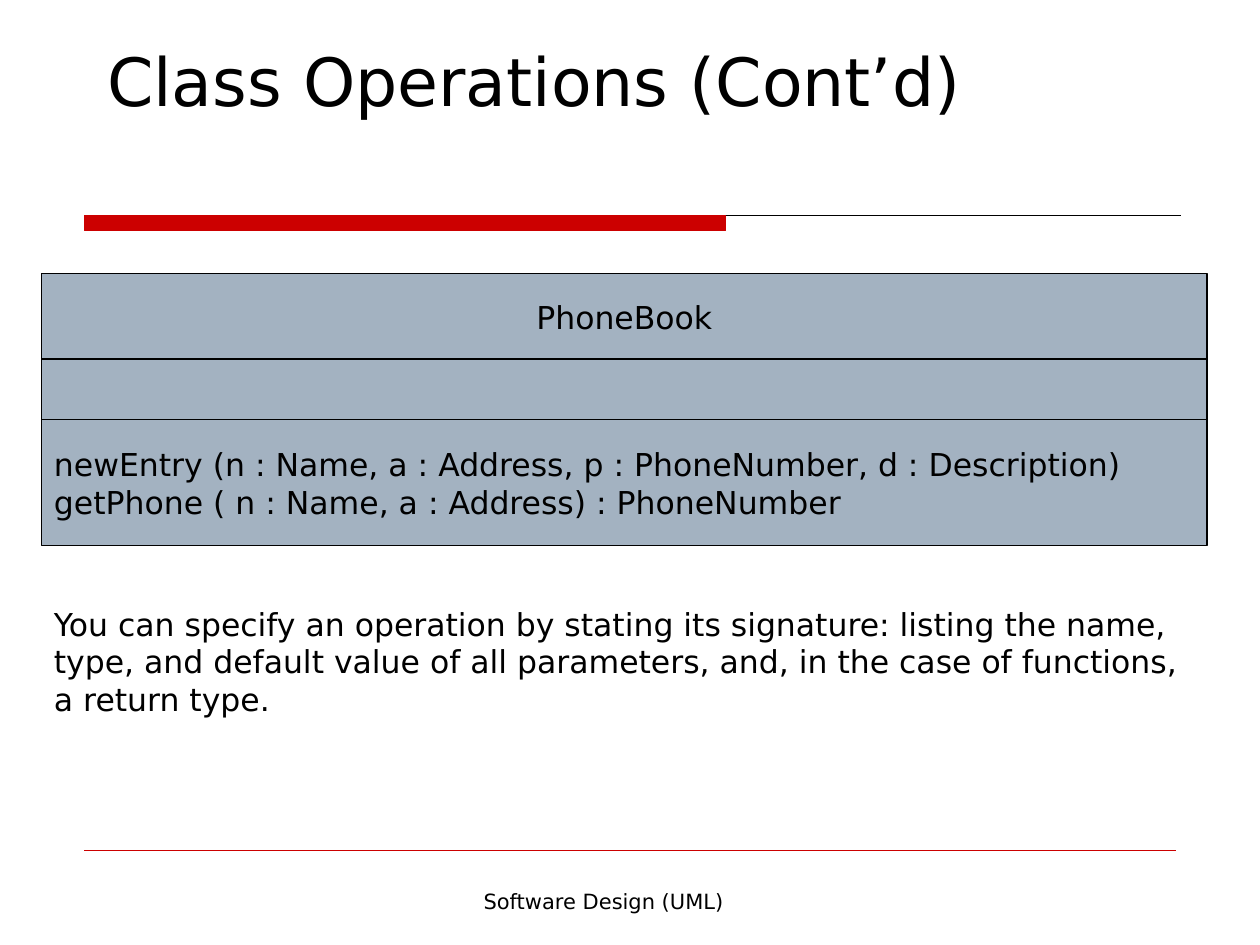
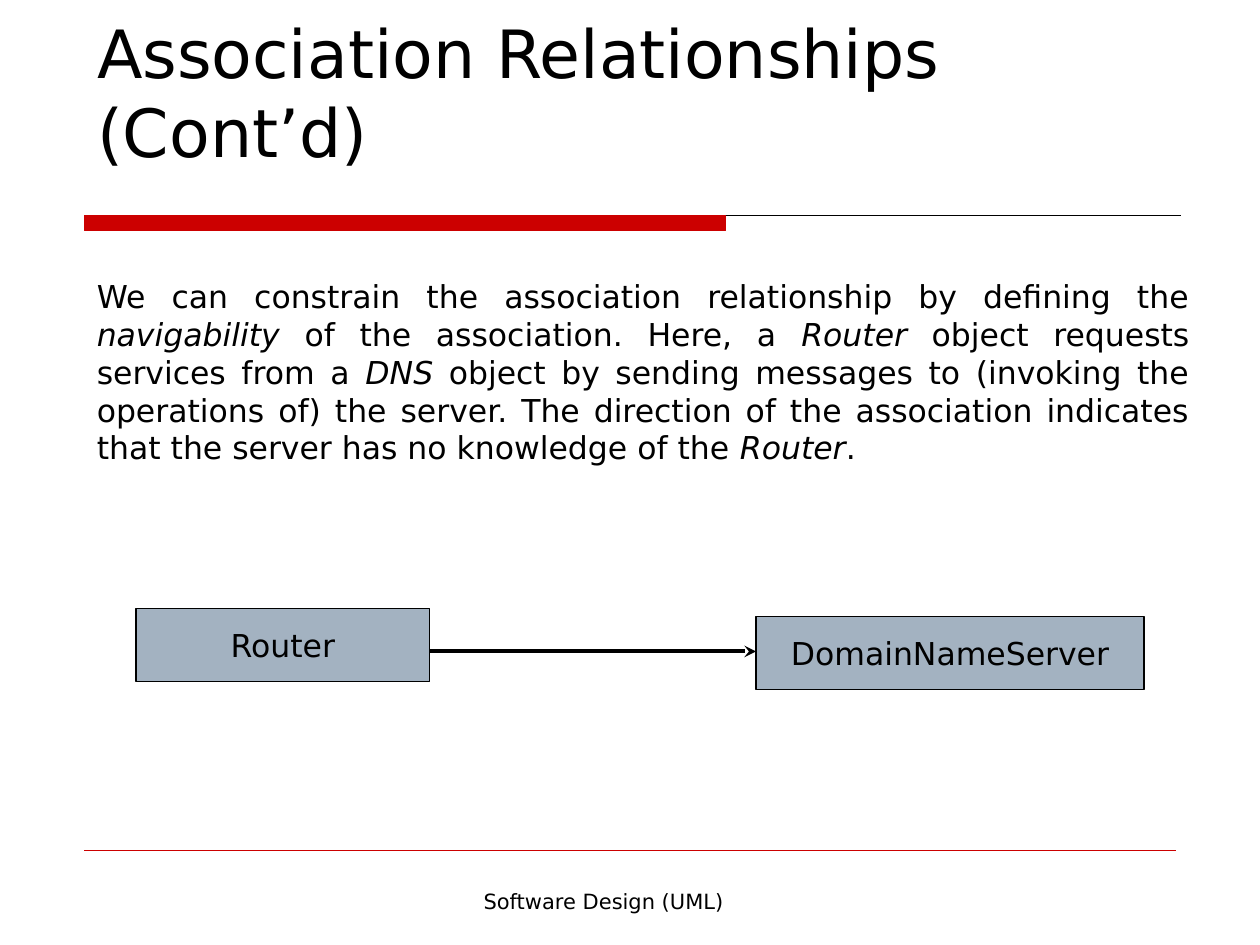
"""Build two UML lecture slides on class operations and associations."""
from dataclasses import dataclass

from lxml import etree
from pptx import Presentation
from pptx.dml.color import RGBColor
from pptx.enum.shapes import MSO_CONNECTOR, MSO_SHAPE
from pptx.enum.text import MSO_ANCHOR, MSO_AUTO_SIZE, PP_ALIGN
from pptx.oxml.ns import qn
from pptx.util import Inches, Pt

RECTANGLE = MSO_SHAPE.RECTANGLE
STRAIGHT = MSO_CONNECTOR.STRAIGHT
LEFT, CENTER, JUSTIFY = PP_ALIGN.LEFT, PP_ALIGN.CENTER, PP_ALIGN.JUSTIFY
TOP, MIDDLE, BOTTOM = MSO_ANCHOR.TOP, MSO_ANCHOR.MIDDLE, MSO_ANCHOR.BOTTOM
NO_AUTOFIT = MSO_AUTO_SIZE.NONE
TITLE_ONLY = 5


@dataclass(frozen=True)
class Theme:
    """Colours, font and type sizes of the deck."""
    ink: RGBColor = RGBColor(0, 0, 0)
    accent: RGBColor = RGBColor(0xCC, 0, 0)
    class_fill: RGBColor = RGBColor(0xA3, 0xB2, 0xC1)
    font: str = "DejaVu Sans"
    title: int = 38
    body: int = 18
    footer: int = 12
    hairline: float = 0.75
    arrow: float = 2.25


THEME = Theme()


def inches(*lengths):
    """Convert numbers to lengths."""
    return [Inches(length) for length in lengths]


def write(frame, text, size=THEME.body, align=LEFT, anchor=TOP):
    """Fill a frame with one paragraph a line; asterisks enclose italics."""
    frame.word_wrap = True
    frame.auto_size = NO_AUTOFIT
    frame.vertical_anchor = anchor
    for index, line in enumerate(text.split("\n")):
        paragraph = frame.add_paragraph() if index else frame.paragraphs[0]
        paragraph.alignment = align
        for part, words in enumerate(line.split("*")):
            run = paragraph.add_run()
            run.text = words
            run.font.name = THEME.font
            run.font.size = Pt(size)
            run.font.color.rgb = THEME.ink
            run.font.italic = part % 2 == 1


def add_text(slide, box, text, **style):
    """Place a text box."""
    write(slide.shapes.add_textbox(*inches(*box)).text_frame, text, **style)


def add_rectangle(shapes, box, fill, line, text="", align=CENTER):
    """Draw an outlined rectangle with optional text."""
    rectangle = shapes.add_shape(RECTANGLE, *inches(*box))
    rectangle.shadow.inherit = False
    rectangle.fill.solid()
    rectangle.fill.fore_color.rgb = fill
    rectangle.line.color.rgb = line
    rectangle.line.width = Pt(THEME.hairline)
    if text:
        write(rectangle.text_frame, text, align=align, anchor=MIDDLE)


def add_line(slide, start, end, color, width=THEME.hairline, arrow=False):
    """Draw a straight line, with a stealth arrowhead at its end if asked."""
    connector = slide.shapes.add_connector(STRAIGHT, *inches(*start, *end))
    connector.line.color.rgb = color
    connector.line.width = Pt(width)
    if arrow:
        etree.SubElement(connector.line._get_or_add_ln(), qn("a:tailEnd"), type="stealth")
    etree.SubElement(connector._element.spPr, qn("a:effectLst"))


def add_title_band(slide, left, top, width):
    """Draw the heavy bar and thin rule under the title."""
    add_line(slide, (left, top), (left + width, top), THEME.ink)
    add_rectangle(slide.shapes, (left, top, 5.09, 0.12), THEME.accent, THEME.accent)


def add_footer(slide, left, top, width):
    """Draw the footer rule and the course name."""
    add_line(slide, (left, top), (left + width, top), THEME.accent)
    add_text(slide, (left + 1.91, top + 0.25, 4.42, 0.5), "Software Design (UML)",
             size=THEME.footer, align=CENTER)


def start_slide(deck, title, title_box):
    """Add a slide with its title, band and footer."""
    slide = deck.slides.add_slide(deck.slide_layouts[TITLE_ONLY])
    add_title_band(slide, 0.67, 1.71, 8.7)
    add_footer(slide, 0.67, 6.75, 8.66)
    heading = slide.shapes.title
    heading.left, heading.top, heading.width, heading.height = inches(*title_box)
    write(heading.text_frame, title, size=THEME.title, anchor=BOTTOM)
    return slide


def add_class_diagram(slide, left, top, width, name, operations):
    """Draw a class as name, attribute and operation compartments."""
    compartments = [(0, 0.69, name, CENTER), (0.68, 0.52, "", CENTER),
                    (1.16, 1, operations, LEFT)]
    group = slide.shapes.add_group_shape()
    for offset, height, text, align in compartments:
        add_rectangle(group.shapes, (left, top + offset, width, height),
                      THEME.class_fill, THEME.ink, text, align)


def add_association(slide, left, top, width):
    """Draw the router, the server and the arrow between them."""
    router_width, server_width, height = 2.33, 3.08, 0.58
    server_left = left + width - server_width
    arrow_top = top + 0.34
    add_line(slide, (left + router_width, arrow_top), (server_left, arrow_top),
             THEME.ink, THEME.arrow, arrow=True)
    add_rectangle(slide.shapes, (left, top, router_width, height),
                  THEME.class_fill, THEME.ink, "Router")
    add_rectangle(slide.shapes, (server_left, top + 0.06, server_width, height),
                  THEME.class_fill, THEME.ink, "DomainNameServer")


def build_operations_slide(deck):
    """Build the slide on operation signatures."""
    slide = start_slide(deck, "Class Operations (Cont’d)", (0.75, 0.42, 8.58, 0.58))
    add_class_diagram(
        slide, 0.33, 2.17, 9.25, "PhoneBook",
        "newEntry (n : Name, a : Address, p : PhoneNumber, d : Description)\n"
        "getPhone ( n : Name, a : Address) : PhoneNumber")
    add_text(slide, (0.33, 4.75, 9.17, 1.3),
             "You can specify an operation by stating its signature: listing the name, "
             "type, and default value of all parameters, and, in the case of functions, "
             "a return type.")


def build_association_slide(deck):
    """Build the slide on navigability."""
    slide = start_slide(deck, "Association Relationships (Cont’d)",
                        (0.67, 0.83, 8.83, 0.58))
    add_text(slide, (0.67, 2.15, 8.87, 1.62),
             "We can constrain the association relationship by defining the "
             "*navigability* of the association. Here, a *Router* object requests "
             "services from a *DNS* object by sending messages to (invoking the "
             "operations of) the server. The direction of the association indicates "
             "that the server has no knowledge of the *Router*.", align=JUSTIFY)
    add_association(slide, 1.08, 4.83, 8)


def main():
    """Build and save the deck."""
    deck = Presentation()
    deck.slide_width, deck.slide_height = inches(10, 7.5)
    build_operations_slide(deck)
    build_association_slide(deck)
    deck.save("out.pptx")


if __name__ == "__main__":
    main()
